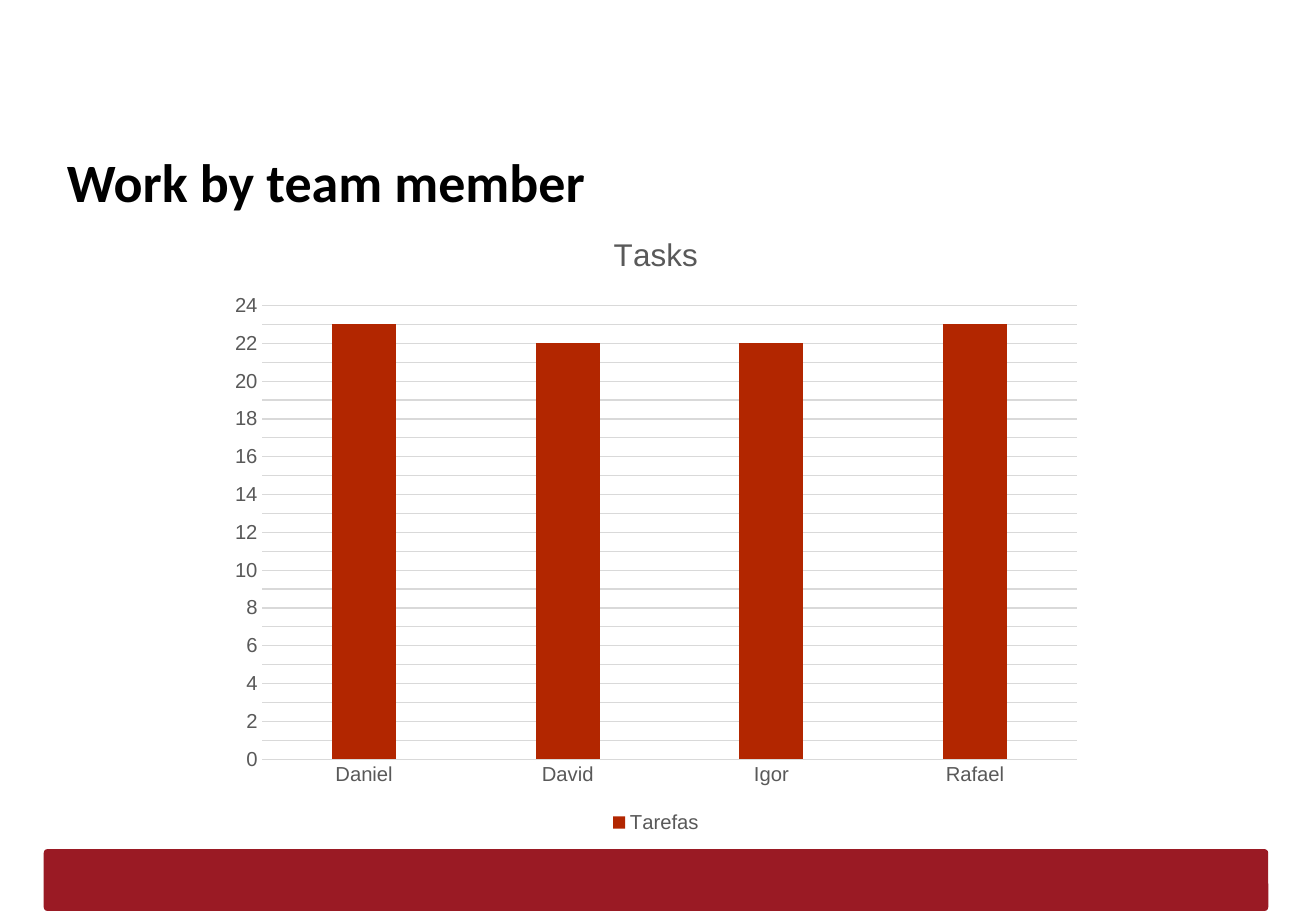
from pptx import Presentation
from pptx.chart.data import CategoryChartData
from pptx.dml.color import RGBColor
from pptx.enum.chart import XL_CHART_TYPE, XL_LEGEND_POSITION, XL_TICK_MARK
from pptx.enum.shapes import MSO_SHAPE
from pptx.enum.text import MSO_ANCHOR, MSO_AUTO_SIZE, PP_ALIGN
from pptx.util import Pt

COLUMNS = XL_CHART_TYPE.COLUMN_CLUSTERED
BOTTOM = XL_LEGEND_POSITION.BOTTOM
NO_TICK = XL_TICK_MARK.NONE
ROUNDED = MSO_SHAPE.ROUNDED_RECTANGLE
TOP, LEFT, NO_FIT = MSO_ANCHOR.TOP, PP_ALIGN.LEFT, MSO_AUTO_SIZE.NONE
GREY, GRID, RED, BAND = "595959", "D9D9D9", "B22600", "9A1A24"


def rgb(value):
    return RGBColor.from_string(value)


def set_font(font, name, size, color, bold=False):
    font.name, font.size, font.bold = name, Pt(size), bold
    font.color.rgb = rgb(color)


prs = Presentation()
prs.slide_width, prs.slide_height = Pt(780), Pt(540)
s = prs.slides.add_slide(prs.slide_layouts[5])

# Footer band
band = s.shapes.add_shape(ROUNDED, Pt(25.9), Pt(503.3), Pt(725.8), Pt(36.7))
band.adjustments[0] = 0.062
band.shadow.inherit = False
band.fill.solid()
band.fill.fore_color.rgb = rgb(BAND)
band.line.fill.background()

# Title
title = s.shapes.title
title.left, title.top, title.width, title.height = Pt(32.4), Pt(78.5), Pt(712), Pt(45.4)
tf = title.text_frame
tf.auto_size, tf.vertical_anchor, tf.word_wrap = NO_FIT, TOP, True
tf.margin_left = tf.margin_right = tf.margin_bottom = Pt(7.2)
tf.margin_top = Pt(9.6)
p = tf.paragraphs[0]
p.alignment = LEFT
r = p.add_run()
r.text = "Work by team member"
set_font(r.font, "Calibri", 32, "000000", True)

# Chart of tasks per member
data = CategoryChartData()
data.categories = ["Daniel", "David", "Igor", "Rafael"]
data.add_series("Tarefas", [23, 22, 22, 23])
chart = s.shapes.add_chart(COLUMNS, Pt(128.9), Pt(123.8), Pt(519.8), Pt(373), data).chart
set_font(chart.font, "Arial", 10, "000000")

chart.has_title = True
p = chart.chart_title.text_frame.paragraphs[0]
r = p.add_run()
r.text = "Tasks"
set_font(r.font, "Arial", 18.6, GREY)
chart.chart_title.include_in_layout = False

chart.has_legend = True
chart.legend.position = BOTTOM
chart.legend.include_in_layout = False
set_font(chart.legend.font, "Arial", 12, GREY)

# Columns
plot = chart.plots[0]
plot.gap_width, plot.overlap, plot.vary_by_categories = 219, -27, False
fill = plot.series[0].format.fill
fill.solid()
fill.fore_color.rgb = rgb(RED)

# Axes
members, tasks = chart.category_axis, chart.value_axis
for axis in (members, tasks):
    axis.major_tick_mark = axis.minor_tick_mark = NO_TICK
    set_font(axis.tick_labels.font, "Arial", 12, GREY)
tasks.minimum_scale, tasks.maximum_scale, tasks.major_unit = 0, 24, 1
tasks.has_major_gridlines = True
tasks.format.line.fill.background()
for line in (members.format.line, tasks.major_gridlines.format.line):
    line.color.rgb = rgb(GRID)
    line.width = Pt(0.75)

prs.save("out.pptx")
